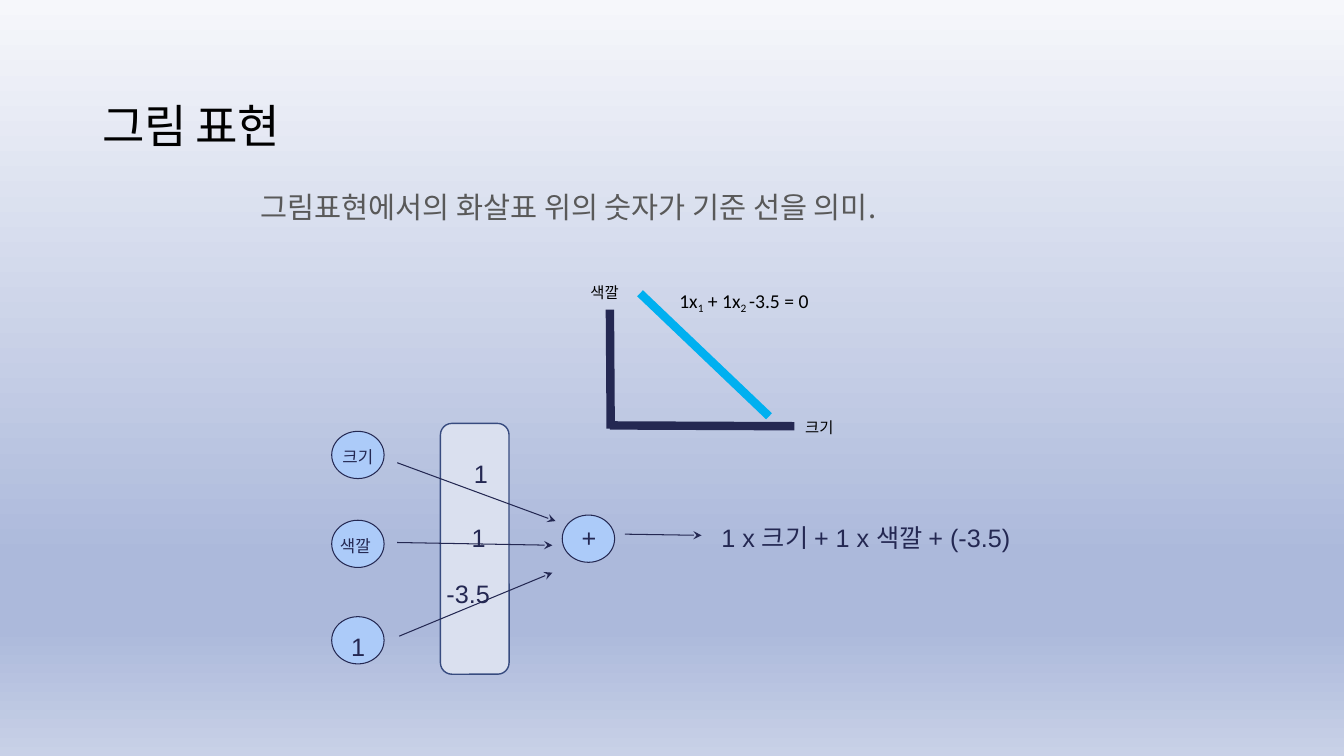
from lxml.etree import SubElement
from pptx import Presentation
from pptx.dml.color import RGBColor
from pptx.enum.shapes import MSO_CONNECTOR, MSO_SHAPE
from pptx.enum.text import MSO_ANCHOR, PP_ALIGN
from pptx.oxml.ns import qn
from pptx.util import Cm, Pt

COLORS = {
    "ink": "242852", "circle": "ACCBF9", "panel": "DAE0EF", "panel_edge": "374B7F",
    "boundary": "00B0F0", "black": "000000", "grey": "595959",
}
BACKGROUND = [(0, "F6F7FB"), (74, "ACB9DB"), (83, "ACB9DB"), (100, "C8D1E7")]
HANGUL_FONT = "Noto Sans CJK KR"


class Diagram:
    """Draws styled elements on the current slide."""

    def __init__(self, slide):
        self.slide = slide
        self.shapes = slide.shapes

    def color(self, name):
        return RGBColor.from_string(COLORS[name])

    def background(self, stops):
        self.slide.background.fill.gradient()
        gradient = self.slide.element.find(".//" + qn("a:gradFill"))
        gradient.find(qn("a:lin")).set("ang", "5400000")
        stop_list = gradient.find(qn("a:gsLst"))
        stop_list.clear()
        for percent, value in stops:
            stop = SubElement(stop_list, qn("a:gs"), pos=str(percent * 1000))
            SubElement(stop, qn("a:srgbClr"), val=value)

    def shape(self, kind, box, fill, edge, width):
        shape = self.shapes.add_shape(kind, *map(Cm, box))
        shape.shadow.inherit = False
        shape.fill.solid()
        shape.fill.fore_color.rgb = self.color(fill)
        shape.line.color.rgb = self.color(edge)
        shape.line.width = Pt(width)

    def circle(self, left, top):
        self.shape(MSO_SHAPE.OVAL, (left, top, 1.32, 1.19), "circle", "ink", 0.75)

    def line(self, ends, color="ink", width=6.0, arrow=False):
        line = self.shapes.add_connector(MSO_CONNECTOR.STRAIGHT, *map(Cm, ends))
        line.line.color.rgb = self.color(color)
        line.line.width = Pt(width)
        if arrow:
            SubElement(line.line._get_or_add_ln(), qn("a:tailEnd"), type="stealth")
        SubElement(line._element.spPr, qn("a:effectLst"))

    def arrow(self, ends):
        self.line(ends, width=0.75, arrow=True)

    def text(self, box, runs, size, font="Calibri", color="black", inset=0.25,
             spacing=None, after=None, align=None, anchor=MSO_ANCHOR.TOP,
             hanging=0, tracking=0):
        frame = self.shapes.add_textbox(*map(Cm, box)).text_frame
        frame.word_wrap = True
        frame.vertical_anchor = anchor
        frame.margin_left = frame.margin_right = Cm(0.25)
        frame.margin_top = frame.margin_bottom = Cm(inset)
        paragraph = frame.paragraphs[0]
        paragraph.alignment = align
        paragraph.line_spacing = spacing
        if after:
            paragraph.space_after = Pt(after)
        if hanging:
            properties = paragraph._p.get_or_add_pPr()
            properties.set("marL", str(Cm(hanging)))
            properties.set("indent", str(-Cm(hanging)))
        for words, baseline in runs:
            run = paragraph.add_run()
            run.text = words
            run.font.size = Pt(size)
            run.font.name = font
            run.font.color.rgb = self.color(color)
            properties = run._r.get_or_add_rPr()
            SubElement(properties, qn("a:ea"), typeface=HANGUL_FONT)
            if baseline:
                properties.set("baseline", str(baseline * 1000))
            if tracking:
                properties.set("spc", str(tracking))

    def label(self, left, top, width, words, size=18, align=PP_ALIGN.CENTER):
        self.text((left, top, width, 1.02), [(words, 0)], size, "Arial", "ink",
                  spacing=1.15, after=16, align=align)


def main():
    """Builds and saves the slide."""
    deck = Presentation()
    deck.slide_width, deck.slide_height = Cm(33.87), Cm(19.05)
    diagram = Diagram(deck.slides.add_slide(deck.slide_layouts[6]))
    diagram.background(BACKGROUND)

    diagram.shape(MSO_SHAPE.ROUNDED_RECTANGLE, (11.1, 10.67, 1.73, 6.32),
                  "panel", "panel_edge", 1)
    diagram.text((2.34, 2.34, 29.21, 1.8), [("그림 표현", 0)], 33, inset=0.13,
                 spacing=0.9, anchor=MSO_ANCHOR.MIDDLE, tracking=-60)
    diagram.text((6.32, 4.62, 20.83, 2.08),
                 [("그림표현에서의 화살표 위의 숫자가 기준 선을 의미.", 0)],
                 21, HANGUL_FONT, "grey", spacing=0.9, hanging=0.48)

    for input_top in (10.87, 13.11, 15.54):
        diagram.circle(8.36, input_top)
    diagram.circle(14.17, 12.98)
    for ends in ((10.01, 11.66, 14, 13.13), (10.01, 13.67, 13.92, 13.74),
                 (10.06, 16.03, 13.92, 14.43), (15.75, 13.46, 17.68, 13.49)):
        diagram.arrow(ends)

    diagram.label(8.08, 10.92, 1.88, "크기", 12)
    diagram.label(8.23, 13.18, 1.45, "색깔", 12)
    diagram.label(8.48, 15.54, 1.09, "1")
    diagram.label(11.46, 11.18, 1.32, "1")
    diagram.label(11.4, 12.8, 1.32, "1")
    diagram.label(10.77, 14.2, 2.06, "-3.5")
    diagram.label(14.3, 12.8, 1.09, "+")
    diagram.label(17.93, 12.8, 9.04, "1 x 크기 + 1 x 색깔 + (-3.5)", align=PP_ALIGN.LEFT)

    diagram.line((15.37, 10.72, 20.02, 10.74))
    diagram.line((16.13, 7.39, 19.38, 10.49), "boundary")
    diagram.line((15.37, 7.8, 15.39, 10.8))
    for left, top, axis in ((14.63, 6.91, "색깔"), (20.04, 10.31, "크기")):
        diagram.text((left, top, 2.08, 0.99), [(axis, 0)], 11)
    equation = [("1x", 0), ("1", -25), (" + 1x", 0), ("2 ", -25), ("-3.5 = 0", 0)]
    diagram.text((16.87, 7.14, 5.05, 0.86), equation, 14, inset=0.13)

    deck.save("out.pptx")


if __name__ == "__main__":
    main()
